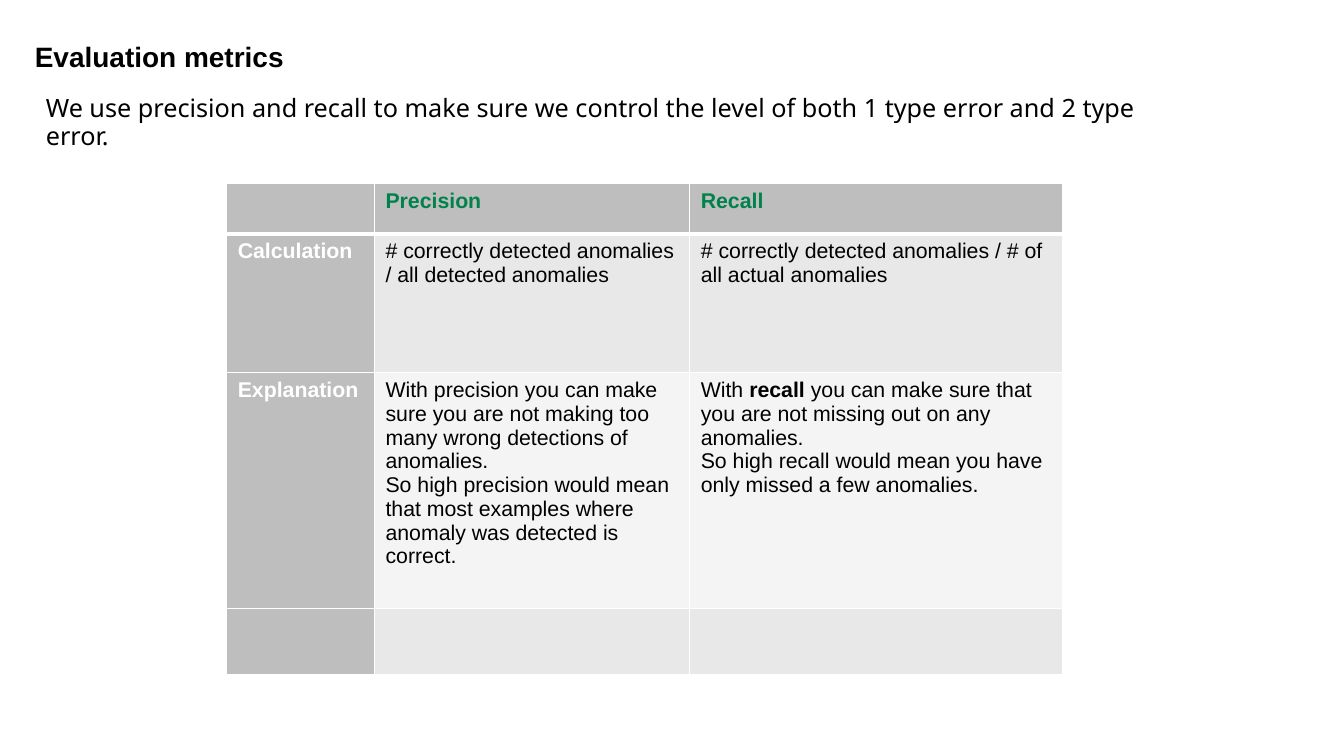
from lxml import etree
from pptx import Presentation
from pptx.dml.color import RGBColor
from pptx.enum.text import MSO_ANCHOR
from pptx.oxml.ns import qn
from pptx.util import Cm, Pt

BLACK = RGBColor(0x00, 0x00, 0x00)
WHITE = RGBColor(0xFF, 0xFF, 0xFF)
GREEN = RGBColor(0x00, 0x82, 0x4B)
HEADER_GREY = RGBColor(0xBE, 0xBE, 0xBE)
BAND_DARK = RGBColor(0xE8, 0xE8, 0xE8)
BAND_LIGHT = RGBColor(0xF4, 0xF4, 0xF4)

THIN, THICK = Pt(0.82), Pt(2.45)
COLUMN_WIDTHS = [3.35, 7.15, 8.45]
ROW_HEIGHTS = [1.14, 3.15, 5.35, 1.5]

# Each cell is a list of paragraphs; each paragraph a list of (text, bold) runs
METRICS = [
    [[], [[("Precision", True)]], [[("Recall", True)]]],
    [
        [[("Calculation", True)]],
        [[("# correctly detected anomalies / all detected anomalies", False)]],
        [[("# correctly detected anomalies / # of all actual anomalies", False)]],
    ],
    [
        [[("Explanation", True)]],
        [
            [("With precision you can make sure you are not making too many "
              "wrong detections of anomalies.", False)],
            [("So high precision would mean that most examples where "
              "anomaly was detected is correct.", False)],
        ],
        [
            [("With ", False), ("recall ", True),
             ("you can make sure that you are not missing out on any anomalies. ", False)],
            [("So high recall would mean you have only missed a few anomalies.", False)],
        ],
    ],
    [[], [], []],
]


def add_text(s, left, top, width, height, text, font, size, bold=False):
    tf = s.shapes.add_textbox(Cm(left), Cm(top), Cm(width), Cm(height)).text_frame
    tf.word_wrap = True
    tf.vertical_anchor = MSO_ANCHOR.TOP
    tf.margin_left = tf.margin_top = tf.margin_right = tf.margin_bottom = 0
    p = tf.paragraphs[0]
    p.text = text
    p.font.name, p.font.size, p.font.bold = font, Pt(size), bold
    p.font.color.rgb = BLACK
    return p


def set_borders(cell, **widths):
    """Draw white borders; must run before the cell is filled."""
    tc_pr = cell._tc.get_or_add_tcPr()
    for side in ("L", "R", "T", "B"):
        ln = etree.SubElement(tc_pr, qn(f"a:ln{side}"), w=str(widths.get(side, THIN)))
        fill = etree.SubElement(ln, qn("a:solidFill"))
        etree.SubElement(fill, qn("a:srgbClr"), val=str(WHITE))


def fill_cell(cell, paragraphs, color, background):
    cell.fill.solid()
    cell.fill.fore_color.rgb = background
    tf = cell.text_frame
    for i, runs in enumerate(paragraphs):
        p = tf.add_paragraph() if i else tf.paragraphs[0]
        p.font.name, p.font.size = "Arial", Pt(13.7)
        p.font.color.rgb = color
        for text, bold in runs:
            r = p.add_run()
            r.text, r.font.bold = text, bold


def add_metrics_table(s, left, top):
    table = s.shapes.add_table(
        len(ROW_HEIGHTS), len(COLUMN_WIDTHS), Cm(left), Cm(top),
        Cm(sum(COLUMN_WIDTHS)), Cm(sum(ROW_HEIGHTS))).table
    for column, width in zip(table.columns, COLUMN_WIDTHS):
        column.width = Cm(width)
    for row, height in zip(table.rows, ROW_HEIGHTS):
        row.height = Cm(height)

    for i, row in enumerate(METRICS):
        # A thick rule separates the header row from the body
        rule = {0: {"B": THICK}, 1: {"T": THICK}}.get(i, {})
        for j, paragraphs in enumerate(row):
            if i == 0:
                color, background = GREEN, HEADER_GREY
            elif j == 0:
                color, background = WHITE, HEADER_GREY
            else:
                color, background = BLACK, BAND_DARK if i % 2 else BAND_LIGHT
            cell = table.cell(i, j)
            set_borders(cell, **rule)
            fill_cell(cell, paragraphs, color, background)


def main():
    prs = Presentation()
    prs.slide_width, prs.slide_height = Cm(30.48), Cm(17.15)
    s = prs.slides.add_slide(prs.slide_layouts[6])

    # Title and introduction
    title = add_text(s, 0.79, 0.89, 28.55, 1.09, "Evaluation metrics", "Arial", 18, bold=True)
    title.space_before = Pt(1)
    intro = add_text(
        s, 1.04, 2.18, 24.71, 2.59,
        "We use precision and recall to make sure we control the level of both "
        "1 type error and 2 type error.", "Noto Sans", 16.2)
    intro.line_spacing = 0.9

    # Precision and recall side by side
    add_metrics_table(s, 5.14, 4.17)

    prs.save("out.pptx")


if __name__ == "__main__":
    main()
